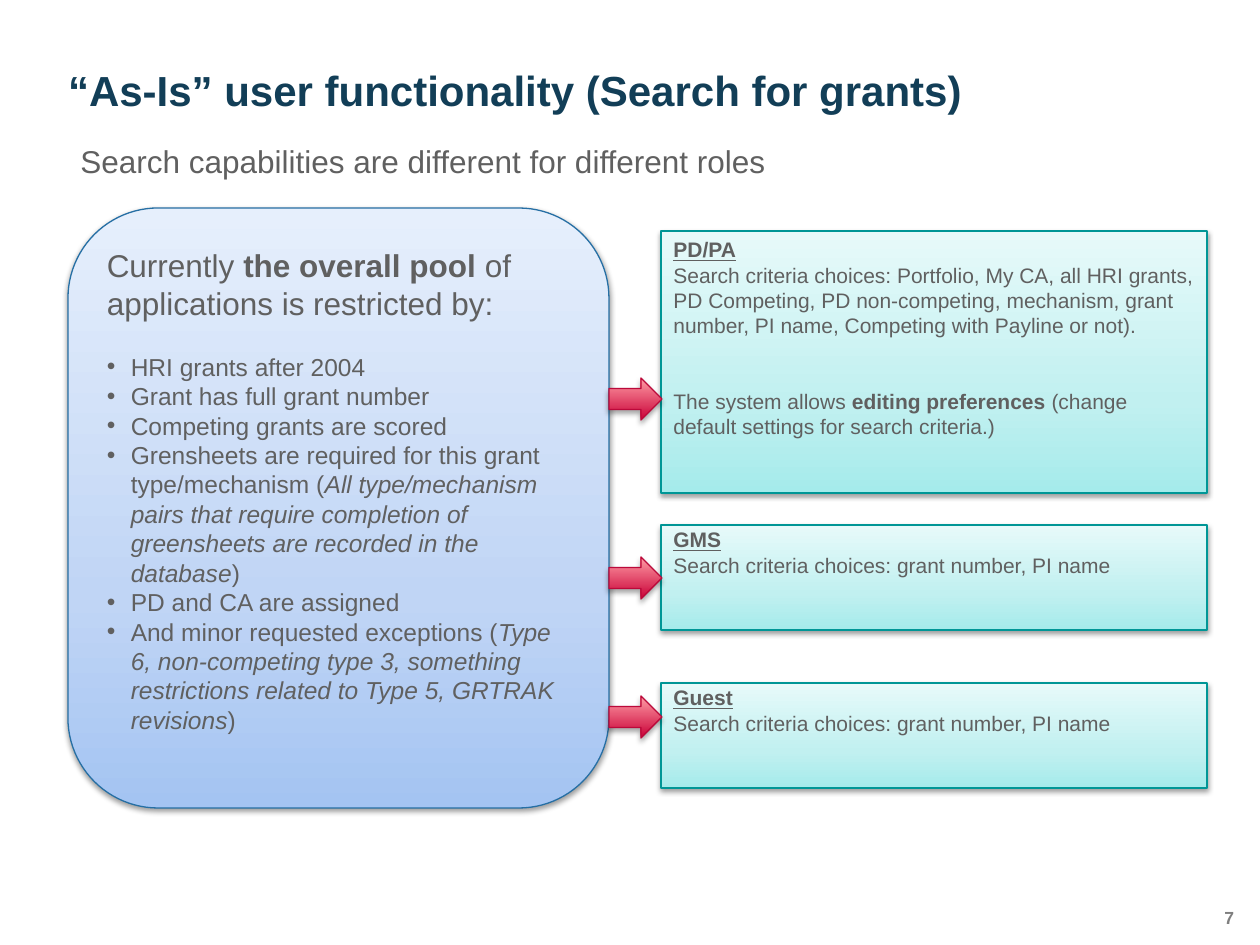
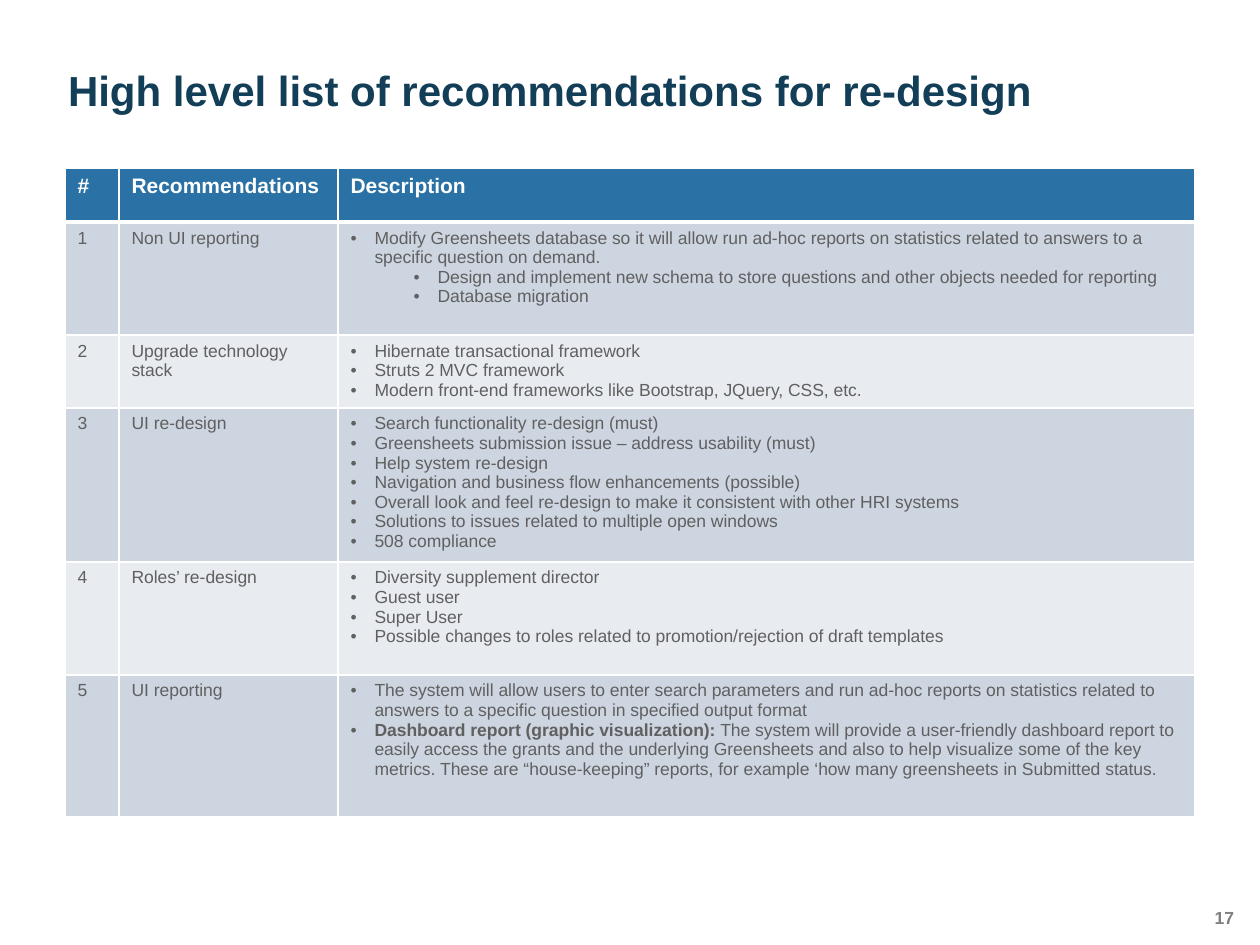
"""Build two slides on grant searching and the recommended re-design."""
from copy import deepcopy
from dataclasses import dataclass
from typing import NamedTuple

from lxml.etree import SubElement
from pptx import Presentation
from pptx.dml.color import RGBColor
from pptx.enum.shapes import MSO_SHAPE as Preset
from pptx.enum.text import MSO_ANCHOR as Anchor, MSO_AUTO_SIZE as AutoSize, PP_ALIGN as Align
from pptx.oxml.ns import qn
from pptx.util import Pt

SCALE = 914400 / 126
FONT = "Arial"
NAVY, GREY, PAGE_GREY, WHITE = "123E57", "606060", "7F7F7F", "FFFFFF"
HEADER_BLUE, BANDS = "2A71A5", ("E8EBF0", "CDD5E1")
BULLET_INDENT, SUB_BULLET_INDENT = 24, 87


class Box(NamedTuple):
    """Position and size in px."""
    left: int
    top: int
    width: int
    height: int


class Span(NamedTuple):
    """A piece of text with its emphasis."""
    text: str
    bold: bool = False
    italic: bool = False
    underline: bool = False


@dataclass
class Para:
    """A paragraph and its layout."""
    spans: list[Span]
    size: int
    color: str = GREY
    indent: int = 0
    before: float = 0
    leading: float = 1.0
    align: Align = Align.LEFT


@dataclass
class Look:
    """Gradient, outline and shadow of one kind of shape."""
    stops: list[tuple[int, str]]
    line: str
    shadow_alpha: int
    shadow_distance: float


@dataclass
class Role:
    """A user role box with the arrow that leads to it."""
    top: int
    height: int
    arrow_top: int
    inset: int
    paragraphs: list[list[Span]]


@dataclass
class Recommendation:
    """One table row; each point is its spans and its level."""
    title: str
    height: int
    points: list[tuple[list[Span], int]]


POOL_LOOK = Look([(0, "A4C4F2"), (35, "C0D5F5"), (100, "E6EFFC")], "266FA4", 38, 1.6)
ROLE_LOOK = Look([(0, "A5EBEB"), (35, "C1F0F0"), (100, "E7FAFA")], "009696", 38, 1.6)
ARROW_LOOK = Look([(0, "C90037"), (100, "FF9EA6")], "BB093A", 35, 1.8)

POOL_HEADING = [Span("Currently "), Span("the overall pool", bold=True),
                Span(" of applications is restricted by:")]
POOL_LIMITS = [
    [Span("HRI grants after 2004")],
    [Span("Grant has full grant number")],
    [Span("Competing grants are scored")],
    [Span("Grensheets are required for this grant type/mechanism ("),
     Span("All type/mechanism pairs that require completion of greensheets "
          "are recorded in the database", italic=True), Span(")")],
    [Span("PD and CA are assigned")],
    [Span("And minor requested exceptions ("),
     Span("Type 6, non-competing type 3, something restrictions related to Type 5, "
          "GRTRAK revisions", italic=True), Span(")")],
]
NUMBER_AND_NAME = [Span("Search criteria choices: grant number, PI name")]


def role_name(name: str) -> list[Span]:
    """Return the underlined heading of a role."""
    return [Span(name, bold=True, underline=True)]


ROLES = [
    Role(231, 262, 378, 6, [
        role_name("PD/PA"),
        [Span("Search criteria choices: Portfolio, My CA, all HRI grants, PD Competing, "
              "PD non-competing, mechanism, grant number, PI name, "
              "Competing with Payline or not).")],
        [Span("The system allows "), Span("editing preferences ", bold=True),
         Span("(change default settings for search criteria.)")]]),
    Role(525, 105, 557, 2, [role_name("GMS"), NUMBER_AND_NAME]),
    Role(683, 105, 696, 2, [role_name("Guest"), NUMBER_AND_NAME]),
]


def points(*texts: str) -> list[tuple[list[Span], int]]:
    """Return plain first-level points."""
    return [([Span(text)], 0) for text in texts]


HEADINGS = ["#", "Recommendations", "Description"]
HEADER_HEIGHT = 54
COLUMN_WIDTHS = [54, 219, 857]
RECOMMENDATIONS = [
    Recommendation("Non UI reporting", 113, points(
        "Modify Greensheets database so it will allow run ad-hoc reports on statistics "
        "related to answers to a specific question on demand.") + [
        ([Span("Design and implement new schema to store questions and other objects "
               "needed for reporting")], 1),
        ([Span("Database migration")], 1)]),
    Recommendation("Upgrade technology stack", 73, points(
        "Hibernate transactional framework",
        "Struts 2 MVC framework",
        "Modern front-end frameworks like Bootstrap, JQuery, CSS, etc.")),
    Recommendation("UI re-design", 154, points(
        "Search functionality re-design (must)",
        "Greensheets submission issue – address usability (must)",
        "Help system re-design",
        "Navigation and business flow enhancements (possible)",
        "Overall look and feel re-design to make it consistent with other HRI systems",
        "Solutions to issues related to multiple open windows",
        "508 compliance")),
    Recommendation("Roles’ re-design", 113, points(
        "Diversity supplement director",
        "Guest user",
        "Super User",
        "Possible changes to roles related to promotion/rejection of draft templates")),
    Recommendation("UI reporting", 142, points(
        "The system will allow users to enter search parameters and run ad-hoc reports on "
        "statistics related to answers to a specific question in specified output format") + [
        ([Span("Dashboard report (graphic visualization): ", bold=True),
          Span("The system will provide a user-friendly dashboard report to easily access "
               "the grants and the underlying Greensheets and also to help visualize some of "
               "the key metrics. These are “house-keeping” reports, for example ‘how many "
               "greensheets in Submitted status.")], 0)]),
]


def px(length: int) -> int:
    """Turn px into EMU."""
    return round(length * SCALE)


def place(box: Box) -> list[int]:
    """Turn a box into EMU arguments."""
    return [px(length) for length in box]


def rgb(value: str) -> RGBColor:
    """Turn a hex string into a colour."""
    return RGBColor.from_string(value)


def write(frame, paragraphs: list[Para]) -> None:
    """Fill a text frame with formatted paragraphs."""
    frame.word_wrap = True
    for index, para in enumerate(paragraphs):
        paragraph = frame.add_paragraph() if index else frame.paragraphs[0]
        paragraph.alignment = para.align
        paragraph.line_spacing = para.leading
        paragraph.space_before = Pt(para.before)
        if para.indent:
            props = paragraph._p.get_or_add_pPr()
            props.set("marL", str(px(para.indent)))
            props.set("indent", str(-px(BULLET_INDENT)))
            SubElement(props, qn("a:buFont"), typeface=FONT)
            SubElement(props, qn("a:buChar"), char="•")
        for span in para.spans:
            run = paragraph.add_run()
            run.text = span.text
            font = run.font
            font.name, font.size = FONT, Pt(para.size)
            font.bold, font.italic, font.underline = span.bold, span.italic, span.underline
            font.color.rgb = rgb(para.color)


def clear_insets(frame) -> None:
    """Remove all margins of a text frame."""
    frame.margin_left = frame.margin_top = frame.margin_right = frame.margin_bottom = 0


def add_text(slide, box: Box, para: Para):
    """Add a text box and return its frame."""
    frame = slide.shapes.add_textbox(*place(box)).text_frame
    write(frame, [para])
    return frame


def add_shape(slide, preset: Preset, box: Box, look: Look):
    """Add a shape with gradient, outline and shadow."""
    shape = slide.shapes.add_shape(preset, *place(box))
    shape.fill.gradient()
    shape.fill.gradient_angle = 90
    stop_list = shape._element.spPr.find(qn("a:gradFill")).find(qn("a:gsLst"))
    for _ in look.stops[2:]:
        stop_list.insert(1, deepcopy(stop_list[0]))
    for stop, (position, color) in zip(shape.fill.gradient_stops, look.stops):
        stop.color.rgb = rgb(color)
        stop.position = position / 100
    shape.line.color.rgb = rgb(look.line)
    shape.line.width = Pt(0.75)
    shape.shadow.inherit = False
    effects = shape._element.spPr.find(qn("a:effectLst"))
    shadow = SubElement(effects, qn("a:outerShdw"), blurRad=str(Pt(3.1)),
                        dist=str(Pt(look.shadow_distance)), dir="5400000", rotWithShape="0")
    tint = SubElement(shadow, qn("a:srgbClr"), val="000000")
    SubElement(tint, qn("a:alpha"), val=str(look.shadow_alpha * 1000))
    return shape


def add_panel(slide, preset: Preset, box: Box, look: Look, inset: int,
              paragraphs: list[Para]) -> None:
    """Add a shape with text starting at its top."""
    frame = add_shape(slide, preset, box, look).text_frame
    frame.vertical_anchor = Anchor.TOP
    frame.margin_top = px(inset)
    write(frame, paragraphs)


def add_slide(deck, title: str, number: int):
    """Add a slide with its title and page number."""
    slide = deck.slides.add_slide(deck.slide_layouts[5])
    heading = slide.shapes.title
    heading.left, heading.top, heading.width, heading.height = place(Box(68, 58, 1125, 58))
    frame = heading.text_frame
    frame.auto_size = AutoSize.NONE
    frame.vertical_anchor = Anchor.BOTTOM
    clear_insets(frame)
    write(frame, [Para([Span(title, bold=True)], 24, NAVY, leading=0.9)])
    clear_insets(add_text(slide, Box(1191, 907, 43, 25),
                          Para([Span(str(number), bold=True)], 10, PAGE_GREY, align=Align.RIGHT)))
    return slide


def fill_cell(cell, paragraphs: list[Para], color: str, bottom: int) -> None:
    """Write a table cell with white borders."""
    write(cell.text_frame, paragraphs)
    cell.margin_bottom = 0
    props = cell._tc.get_or_add_tcPr()
    for side, width in {"L": 1, "R": 1, "T": 1, "B": bottom}.items():
        border = SubElement(props, qn(f"a:ln{side}"), w=str(Pt(width)))
        SubElement(SubElement(border, qn("a:solidFill")), qn("a:srgbClr"), val=WHITE)
    cell.fill.solid()
    cell.fill.fore_color.rgb = rgb(color)


def build_search(deck) -> None:
    """Build the slide on search by role."""
    slide = add_slide(deck, "“As-Is” user functionality (Search for grants)", 7)
    limits = [Para(spans, 14, indent=BULLET_INDENT, before=0 if index else 17)
              for index, spans in enumerate(POOL_LIMITS)]
    add_panel(slide, Preset.FLOWCHART_ALTERNATE_PROCESS, Box(68, 208, 541, 600), POOL_LOOK, 12,
              [Para(POOL_HEADING, 18)] + limits)
    add_text(slide, Box(68, 136, 940, 50),
             Para([Span("Search capabilities are different for different roles")], 18))
    for role in ROLES:
        add_panel(slide, Preset.FLOWCHART_PROCESS, Box(661, role.top, 546, role.height),
                  ROLE_LOOK, role.inset,
                  [Para(spans, 12, before=29 if index == 2 else 0)
                   for index, spans in enumerate(role.paragraphs)])
    for role in ROLES:
        add_shape(slide, Preset.RIGHT_ARROW, Box(609, role.arrow_top, 53, 42), ARROW_LOOK)


def build_recommendations(deck) -> None:
    """Build the slide with the table of recommendations."""
    slide = add_slide(deck, "High level list of recommendations for re-design", 17)
    heights = [HEADER_HEIGHT] + [item.height for item in RECOMMENDATIONS]
    box = Box(65, 168, sum(COLUMN_WIDTHS), sum(heights))
    table = slide.shapes.add_table(len(heights), len(COLUMN_WIDTHS), *place(box)).table
    for column, width in zip(table.columns, COLUMN_WIDTHS):
        column.width = px(width)
    for row, height in zip(table.rows, heights):
        row.height = px(height)
    for column, heading in enumerate(HEADINGS):
        fill_cell(table.cell(0, column), [Para([Span(heading, bold=True)], 12, WHITE)],
                  HEADER_BLUE, 3)
    for number, item in enumerate(RECOMMENDATIONS, 1):
        description = [Para(spans, 10, indent=SUB_BULLET_INDENT if level else BULLET_INDENT)
                       for spans, level in item.points]
        contents = [[Para([Span(str(number))], 10)], [Para([Span(item.title)], 10)], description]
        for column, paragraphs in enumerate(contents):
            fill_cell(table.cell(number, column), paragraphs, BANDS[number % 2], 1)


def main() -> None:
    """Build and save the deck."""
    deck = Presentation()
    deck.slide_width, deck.slide_height = px(1260), px(945)
    build_search(deck)
    build_recommendations(deck)
    deck.save("out.pptx")


if __name__ == "__main__":
    main()
